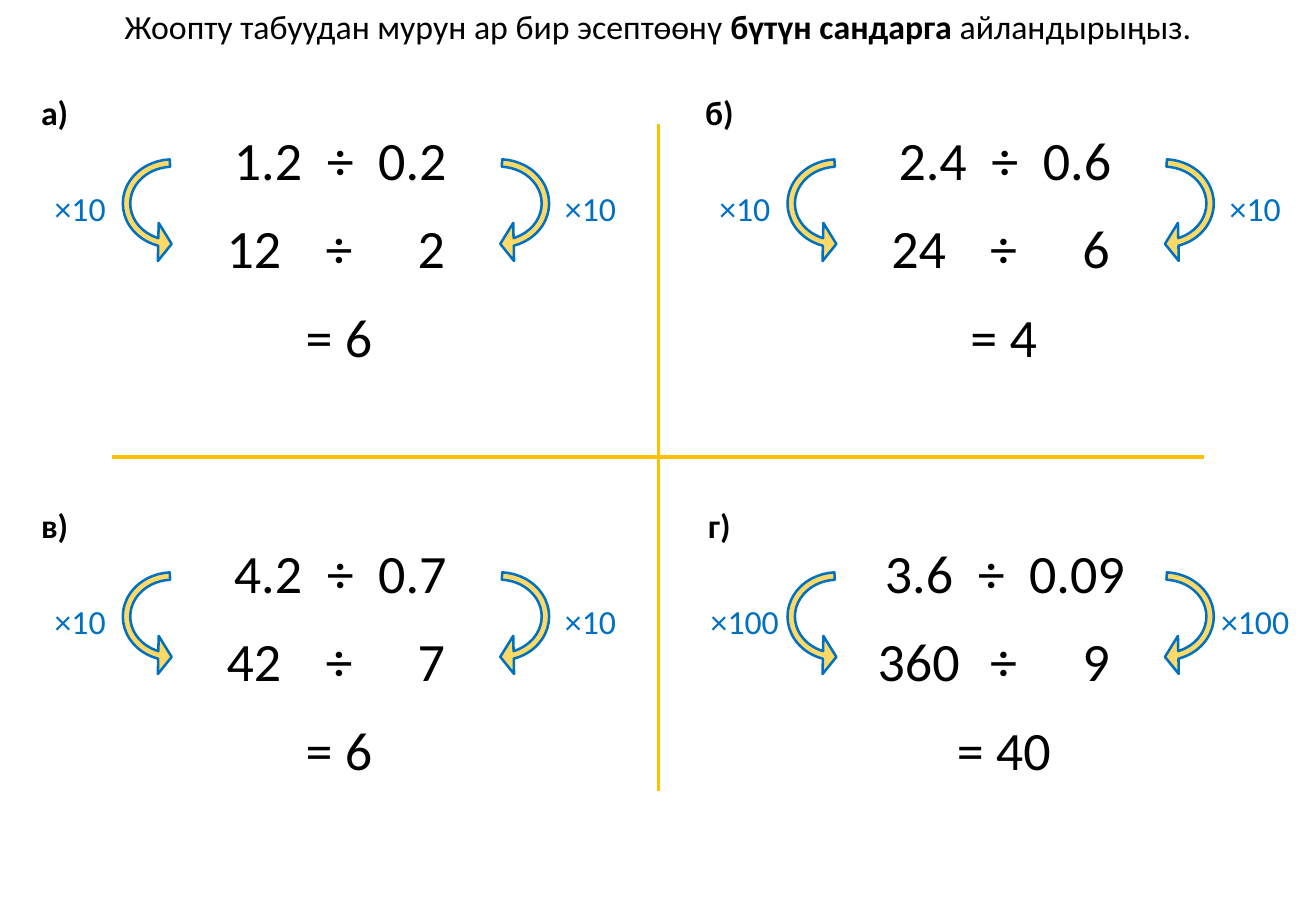
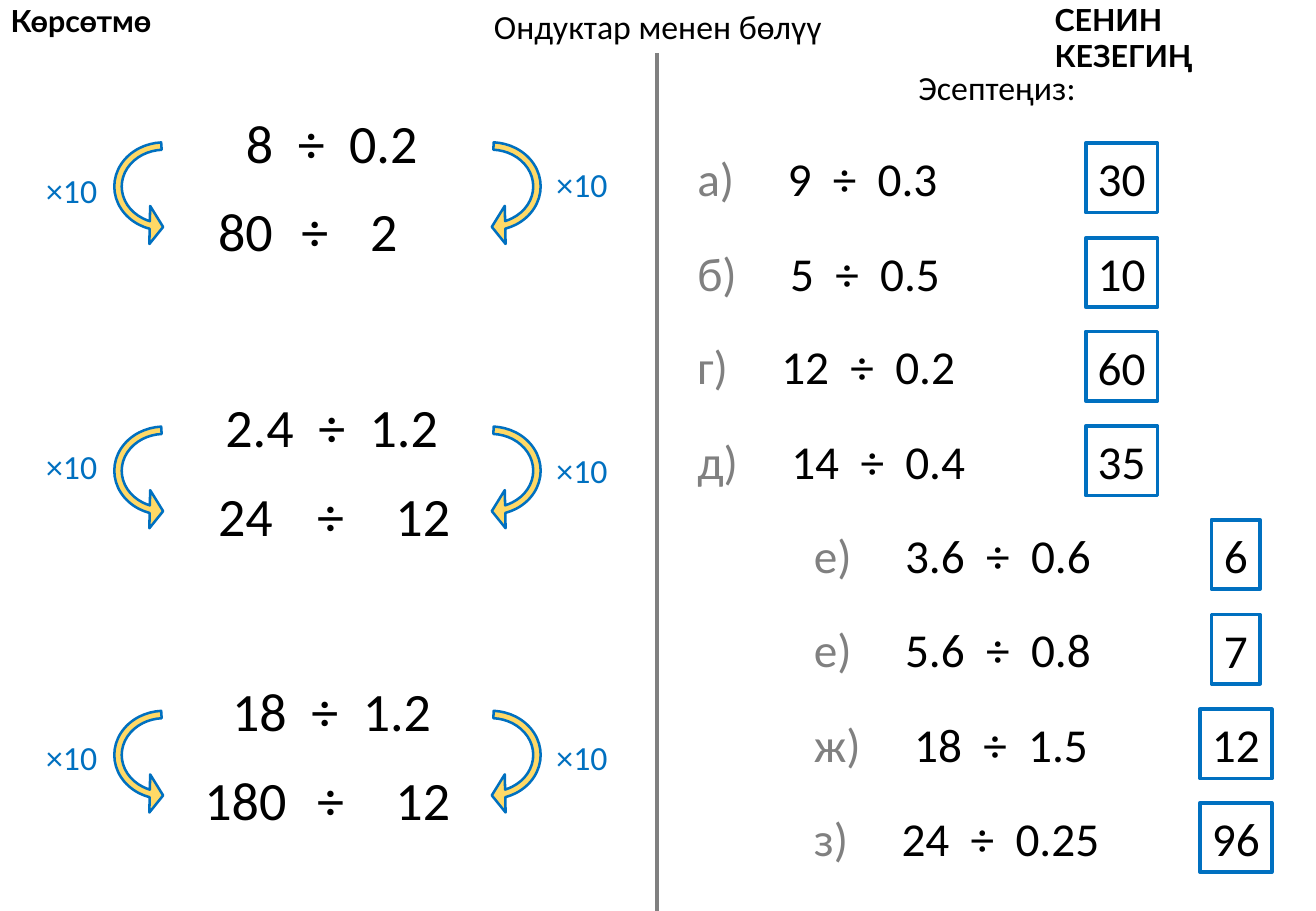
from dataclasses import dataclass

from lxml.etree import SubElement
from pptx import Presentation
from pptx.dml.color import RGBColor
from pptx.enum.shapes import MSO_CONNECTOR, MSO_SHAPE
from pptx.enum.text import MSO_ANCHOR, MSO_AUTO_SIZE, PP_ALIGN
from pptx.oxml.ns import qn
from pptx.util import Pt

EMU_PER_PX = 9144
PX_PER_POINT = 100 / 72


@dataclass(frozen=True)
class Theme:
    """Colours, fonts and type sizes of the deck."""
    ink: str = "000000"
    muted: str = "808080"
    blue: str = "0070C0"
    gold: str = "FFC000"
    arrow: str = "FFD966"
    paper: str = "FFFFFF"
    body_font: str = "Calibri"
    header_font: str = "Lato"
    header: int = 18
    small: int = 20
    exercise: int = 28
    large: int = 32
    rule: float = 2.25
    outline: float = 1.5


@dataclass(frozen=True)
class Conversion:
    """A decimal division and its whole-number equivalent."""
    decimals: str
    wholes: str
    factor: str = "×10"
    label: str = ""
    result: str = ""
    sign_x: int = 256
    divisor_x: int = 332
    left_factor_y: int = 79
    right_factor_y: int = 79


THEME = Theme()
SPACE_EM = 0.226
ARROW_ADJUSTMENTS = (0.062, 11.423, 203.847, 110.164, 0.16)

QUADRANTS = (
    Conversion("1.2 ÷ 0.2", "12 ÷ 2", label="а)", result="= 6"),
    Conversion("2.4 ÷ 0.6", "24 ÷ 6", label="б)", result="= 4"),
    Conversion("4.2 ÷ 0.7", "42 ÷ 7", label="в)", result="= 6"),
    Conversion("3.6 ÷ 0.09", "360 ÷ 9", "×100", "г)", "= 40"),
)
EXAMPLES = (
    Conversion("8 ÷ 0.2", "80 ÷ 2", sign_x=243, divisor_x=300,
               left_factor_y=78, right_factor_y=73),
    Conversion("2.4 ÷ 1.2", "24 ÷ 12", left_factor_y=71, right_factor_y=74),
    Conversion("18 ÷ 1.2", "180 ÷ 12", left_factor_y=77, right_factor_y=77),
)
EXERCISES = (
    ("а)", "9 ÷ 0.3", "30"),
    ("б)", "5 ÷ 0.5", "10"),
    ("г)", "12 ÷ 0.2", "60"),
    ("д)", "14 ÷ 0.4", "35"),
    ("е)", "3.6 ÷ 0.6", "6"),
    ("е)", "5.6 ÷ 0.8", "7"),
    ("ж)", "18 ÷ 1.5", "12"),
    ("з)", "24 ÷ 0.25", "96"),
)


def px(*lengths):
    """Turn px lengths into EMU."""
    return [round(length * EMU_PER_PX) for length in lengths]


def rgb(color):
    """Turn a hex string into a colour."""
    return RGBColor.from_string(color)


def text_width(text, size):
    """Estimate the width of a box around a short line, in px."""
    ems = sum({".": 0.25, " ": 2 * SPACE_EM, ")": 0.3}.get(character, 0.507) for character in text)
    return round(20 + ems * size * PX_PER_POINT)


def format_run(run, size, color=THEME.ink, bold=False, font=THEME.body_font):
    """Give a run its type style."""
    run.font.name = font
    run.font.size = Pt(size)
    run.font.bold = bold
    run.font.color.rgb = rgb(color)


def prepare_frame(shape, align=PP_ALIGN.CENTER, wrap=False):
    """Set wrapping and alignment and return the first paragraph."""
    frame = shape.text_frame
    frame.word_wrap = wrap
    frame.auto_size = MSO_AUTO_SIZE.NONE
    paragraph = frame.paragraphs[0]
    paragraph.alignment = align
    return paragraph


def add_text(shapes, box, text, size, align=PP_ALIGN.CENTER, wrap=False, **style):
    """Add a one-style text box."""
    paragraph = prepare_frame(shapes.add_textbox(*px(*box)), align, wrap)
    paragraph.text = text
    format_run(paragraph.runs[0], size, **style)


def add_centered(shapes, center, top, text, size, **style):
    """Add a short line centred on an x position."""
    width = text_width(text, size)
    height = 64 if size == THEME.large else 44
    add_text(shapes, (center - width / 2, top, width, height), text, size, **style)


def write_gap(paragraph, spaces, size):
    """Add one space tracked out to the width of several."""
    run = paragraph.add_run()
    run.text = " "
    format_run(run, size)
    tracking = (spaces - 1) * SPACE_EM * size
    run._r.get_or_add_rPr().set("spc", str(round(tracking * 100)))


def write_division(paragraph, expression, size):
    """Write a division with wide gaps around its sign."""
    for index, token in enumerate(expression.split()):
        if index:
            write_gap(paragraph, 2, size)
        run = paragraph.add_run()
        run.text = token
        format_run(run, size)


def add_rule(shapes, start, end, color):
    """Add a straight rule between two points."""
    rule = shapes.add_connector(MSO_CONNECTOR.STRAIGHT, *px(*start, *end))
    rule.line.color.rgb = rgb(color)
    rule.line.width = Pt(THEME.rule)
    SubElement(rule._element.spPr, qn("a:effectLst"))


def add_filled_shape(shapes, kind, box, fill, line_width):
    """Add a blue-outlined shape without a shadow."""
    shape = shapes.add_shape(kind, *px(*box))
    shape.shadow.inherit = False
    shape.fill.solid()
    shape.fill.fore_color.rgb = rgb(fill)
    shape.line.color.rgb = rgb(THEME.blue)
    shape.line.width = Pt(line_width)
    return shape


def add_curved_arrow(shapes, left, top, mirrored):
    """Add an arrow curving from the decimals down to the whole numbers."""
    arrow = add_filled_shape(shapes, MSO_SHAPE.CIRCULAR_ARROW, (left, top, 98, 107),
                             THEME.arrow, THEME.outline)
    for index, value in enumerate(ARROW_ADJUSTMENTS):
        arrow.adjustments[index] = value
    arrow.rotation = 90
    if mirrored:
        arrow._element.spPr.find(qn("a:xfrm")).set("flipV", "1")


def draw_conversion(shapes, left, top, conversion):
    """Draw one conversion with its arrows and factors."""
    width = text_width(conversion.decimals, THEME.large)
    box = (left + 257 - width / 2, top + 28, width, 64)
    paragraph = prepare_frame(shapes.add_textbox(*px(*box)))
    write_division(paragraph, conversion.decimals, THEME.large)
    centers = (186, conversion.sign_x, conversion.divisor_x)
    for center, token in zip(centers, conversion.wholes.split()):
        add_centered(shapes, left + center, top + 101, token, THEME.large)
    for arrow_x, factor_x, factor_y, mirrored in (
        (339, 463, conversion.right_factor_y, False),
        (70, 43, conversion.left_factor_y, True),
    ):
        add_curved_arrow(shapes, left + arrow_x, top + 43, mirrored)
        add_centered(shapes, left + factor_x, top + factor_y, conversion.factor,
                     THEME.small, color=THEME.blue)
    if conversion.result:
        add_centered(shapes, left + 256, top + 174, conversion.result, THEME.large)
    if conversion.label:
        add_centered(shapes, left + 22, top, conversion.label, THEME.small, bold=True)


def draw_exercise(shapes, left, top, answer_center, exercise):
    """Draw a lettered exercise and its boxed answer."""
    label, expression, answer = exercise
    size = THEME.exercise
    box = shapes.add_textbox(*px(left, top, 260, 57))
    paragraph = prepare_frame(box, PP_ALIGN.LEFT, True)
    paragraph.text = label
    format_run(paragraph.runs[0], size, THEME.muted)
    write_gap(paragraph, 5, size)
    write_division(paragraph, expression, size)
    width = text_width(answer, size)
    frame = add_filled_shape(shapes, MSO_SHAPE.RECTANGLE,
                             (answer_center - width / 2, top, width, 57),
                             THEME.paper, THEME.rule)
    frame.text_frame.vertical_anchor = MSO_ANCHOR.MIDDLE
    paragraph = prepare_frame(frame)
    paragraph.text = answer
    format_run(paragraph.runs[0], size)


def build_quadrant_slide(slide):
    """Build the slide of four worked conversions."""
    shapes = slide.shapes
    add_rule(shapes, (542, 102), (542, 651), THEME.gold)
    add_rule(shapes, (92, 376), (991, 376), THEME.gold)
    paragraph = prepare_frame(shapes.add_textbox(*px(91, 0, 901, 44)))
    for text, bold in (("Жоопту табуудан мурун ар бир эсептөөнү ", False),
                       ("бүтүн сандарга ", True), ("айландырыңыз.", False)):
        run = paragraph.add_run()
        run.text = text
        format_run(run, THEME.small, bold=bold)
    for index, conversion in enumerate(QUADRANTS):
        row, column = divmod(index, 2)
        draw_conversion(shapes, 23 + 547 * column, 71 + 340 * row, conversion)


def build_practice_slide(slide):
    """Build the slide of examples and exercises."""
    shapes = slide.shapes
    add_rule(shapes, (541, 44), (541, 750), THEME.muted)
    add_text(shapes, (395, 0, 293, 44), "Ондуктар менен бөлүү", THEME.small)
    add_text(shapes, (745, 50, 151, 44), "Эсептеңиз:", THEME.small)
    for box, text in (((-1, -3, 160, 40), "Көрсөтмө"),
                      ((858, -4, 160, 70), "СЕНИН КЕЗЕГИҢ")):
        add_text(shapes, box, text, THEME.header, PP_ALIGN.LEFT, True,
                 bold=True, font=THEME.header_font)
    for index, conversion in enumerate(EXAMPLES):
        group = shapes.add_group_shape()
        draw_conversion(group.shapes, 16, 57 + 234 * index, conversion)
    for index, exercise in enumerate(EXERCISES):
        left, answer_center = (564, 923) if index < 4 else (660, 1017)
        draw_exercise(shapes, left, round(118 + 77.6 * index), answer_center, exercise)


def main():
    """Build and save the presentation."""
    presentation = Presentation()
    presentation.slide_width, presentation.slide_height = px(1083, 750)
    for build in (build_quadrant_slide, build_practice_slide):
        build(presentation.slides.add_slide(presentation.slide_layouts[6]))
    presentation.save("out.pptx")


if __name__ == "__main__":
    main()
